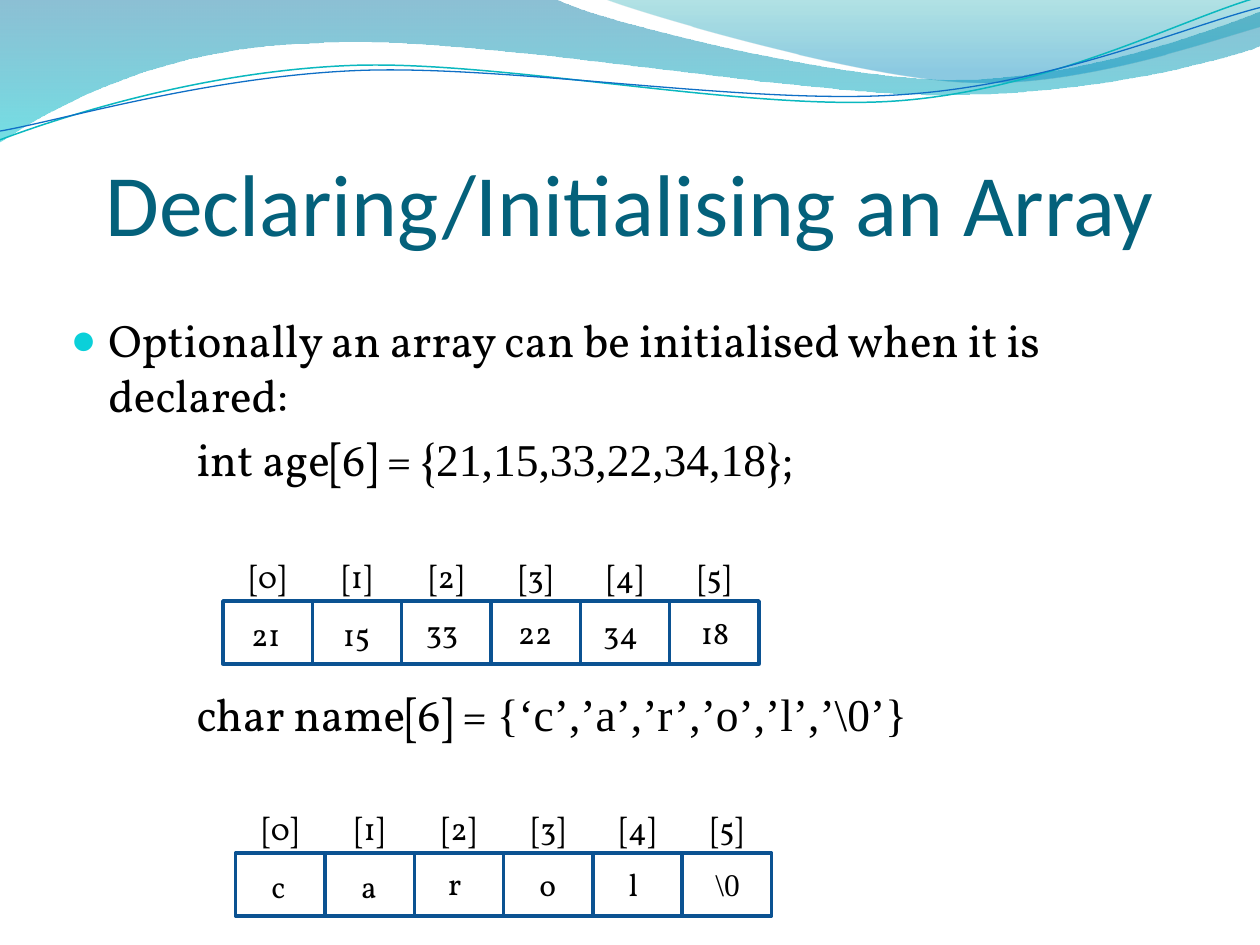
from math import cos, radians, sin
from lxml.etree import SubElement
from pptx import Presentation
from pptx.dml.color import RGBColor
from pptx.enum.shapes import MSO_SHAPE
from pptx.enum.text import MSO_ANCHOR, MSO_AUTO_SIZE, PP_ALIGN
from pptx.oxml.ns import qn
from pptx.util import Inches, Pt

WIDTH, HEIGHT = Inches(10), Inches(7.5)
COLS, ROWS = 100, 75
CELL, DEEP = 7.09, 5
TILT = 357.3
SHIFTS = [(0.5, 0.6), (0.6, 0.6), (0.3, 0.4), (0.6, 0.5), (0.3, 0.5), (0.7, 0.5)]

BLACK = RGBColor(0, 0, 0)
TITLE = RGBColor(0x04, 0x61, 0x7B)
DOT = RGBColor(0x0B, 0xD0, 0xD9)
EDGE = RGBColor(0x0B, 0x52, 0x92)
NAVY = RGBColor(0x00, 0x74, 0xA1)
AQUA = RGBColor(0x00, 0xC6, 0xCF)
TEAL = RGBColor(0x00, 0xA1, 0xA9)
BLUE = RGBColor(0x00, 0x8B, 0xBF)
CYAN = RGBColor(0x0A, 0xB8, 0xBF)
ROYAL = RGBColor(0x0F, 0x6F, 0xC6)

SERIF, ROMAN, SANS = "Vollkorn", "Times New Roman", "Calibri"

BAND = [
    (0, 0), (44, -0.1), (47.6, 1.7, 66.4, 6.3, 75.8, 6.3),
    (85.3, 6.3, 95.8, 2.6, 100, 0.9), (100.1, 3.6),
    (98.3, 4.4, 87, 7.6, 74.6, 7.5), (62.2, 7.5, 38.2, 2.8, 25.7, 3.4),
    (12.9, 3.6, 4.6, 8.3, -0.1, 11.3), (0, 0),
]
CREST = [
    (47.9, -0.1), (50.9, 1.1, 68.2, 6.2, 76.9, 6.5),
    (85.6, 6.9, 96.1, 3.2, 100, 2.1), (100, 0), (47.9, -0.1),
]
UPPER = [
    (0, 11.1), (4.8, 9.3, 15.8, 5.7, 27.7, 5.2),
    (39.5, 4.7, 59.3, 8.9, 71.3, 8), (83.3, 7.1, 93.8, 1.5, 99.8, -0.2),
]
LOWER = [
    (0, 10.4), (4.7, 9.6, 16.4, 6.1, 28.3, 5.6),
    (40.3, 5.1, 59.7, 8.4, 71.7, 7.5), (83.6, 6.7, 94.1, 2.1, 100, 0.6),
]


def wide(cols):
    return round(WIDTH * cols / COLS)


def tall(rows):
    return round(HEIGHT * rows / ROWS)


def place(left, top, width, height):
    return wide(left), tall(top), wide(width), tall(height)


def move(shape, *area):
    shape.left, shape.top, shape.width, shape.height = place(*area)


def turn(part, hub, angle):
    c, s = cos(radians(angle)), sin(radians(angle))
    spots = []
    for x, y in zip(part[::2], part[1::2]):
        dx, dy = x - hub[0], y - hub[1]
        spots += [hub[0] + dx * c - dy * s, hub[1] + dx * s + dy * c]
    return spots


def trace(slide, route, close):
    spots = [(wide(x), tall(y)) for part in route for x, y in zip(part[::2], part[1::2])]
    pen = slide.shapes.build_freeform(*spots[0])
    pen.add_line_segments(spots[1:], close=close)
    shape = pen.convert_to_shape()
    shape.shadow.inherit = False
    lines = iter(list(shape._element.spPr.iter(qn("a:lnTo"))))
    for part in route[1:]:
        first = next(lines)
        if len(part) == 6:
            first.tag = qn("a:cubicBezTo")
            for line in (next(lines), next(lines)):
                first.append(line[0])
                line.getparent().remove(line)
    return shape


def add_wave(slide, route, stops):
    shape = trace(slide, route, True)
    shape.line.fill.background()
    shape.fill.gradient()
    shape.fill.gradient_angle = 270
    for stop, (share, color, _) in zip(shape.fill.gradient_stops, stops):
        stop.position = share
        stop.color.rgb = color
    tints = shape._element.spPr.iter(qn("a:srgbClr"))
    for tint, (_, _, alpha) in zip(tints, stops):
        SubElement(tint, qn("a:alpha")).set("val", str(alpha * 1000))


def add_curve(slide, route, hub, color, weight):
    level = [turn(part, hub, -TILT) for part in route]
    shape = trace(slide, level, False)
    shape.rotation = TILT
    shape.fill.background()
    shape.line.color.rgb = color
    shape.line.width = Pt(weight)


def add_run(para, text, face, size, color=BLACK):
    run = para.add_run()
    run.text = text
    run.font.name = face
    run.font.size = Pt(size)
    run.font.color.rgb = color


def set_mark(para, left, hang=0, mark=None):
    props = para._p.get_or_add_pPr()
    props.set("marL", str(wide(left)))
    props.set("indent", str(-wide(hang)))
    if mark is None:
        SubElement(props, qn("a:buNone"))
        return
    tone = SubElement(props, qn("a:buClr"))
    SubElement(tone, qn("a:srgbClr")).set("val", str(DOT))
    SubElement(props, qn("a:buSzPct")).set("val", "95000")
    SubElement(props, qn("a:buFont")).set("typeface", "Arial")
    SubElement(props, qn("a:buChar")).set("char", mark)


def fill_title(shape, text):
    move(shape, 5, 7.7, 90, 12.5)
    frame = shape.text_frame
    frame.auto_size = MSO_AUTO_SIZE.NONE
    frame.vertical_anchor = MSO_ANCHOR.BOTTOM
    frame.margin_left = frame.margin_right = frame.margin_bottom = 0
    frame.margin_top = tall(0.5)
    para = frame.paragraphs[0]
    para.alignment = PP_ALIGN.CENTER
    add_run(para, text, SANS, 50, TITLE)


def fill_body(shape):
    move(shape, 4.6, 24.3, 90, 48)
    frame = shape.text_frame
    frame.auto_size = MSO_AUTO_SIZE.NONE
    first = frame.paragraphs[0]
    first.space_before = Pt(0)
    set_mark(first, 3, 3, "●")
    add_run(first, "Optionally an array can be initialised when it is declared:", SERIF, 26)
    lines = [
        (5.2, [("int age[6] = {", SERIF), ("21,15,33,22,34,18", ROMAN), ("};", SERIF)]),
        (114.5, [("char name[6] = ", SERIF), ("{‘c’,’a’,’r’,’o’,’l’,’\\0’}", ROMAN)]),
    ]
    for gap, runs in lines:
        para = frame.add_paragraph()
        para.space_before = Pt(gap)
        set_mark(para, 10)
        for text, face in runs:
            add_run(para, text, face, 26)


def add_cell(slide, left, top):
    box = slide.shapes.add_shape(MSO_SHAPE.RECTANGLE, *place(left, top, CELL, DEEP))
    box.shadow.inherit = False
    box.fill.background()
    box.line.color.rgb = EDGE
    box.line.width = Pt(2)


def add_label(slide, text, left, top, width, face=SERIF):
    frame = slide.shapes.add_textbox(*place(left, top, width, 4)).text_frame
    frame.word_wrap = True
    frame.auto_size = MSO_AUTO_SIZE.SHAPE_TO_FIT_TEXT
    para = frame.paragraphs[0]
    para.alignment = PP_ALIGN.CENTER
    add_run(para, text, face, 18)


def add_row(slide, left, top, items):
    for index, (item, (right, down)) in enumerate(zip(items, SHIFTS)):
        edge = left + index * CELL
        add_cell(slide, edge, top)
        add_label(slide, f"[{index}]", edge, top - 4, CELL)
        face = ROMAN if item.startswith("\\") else SERIF
        add_label(slide, item, edge + right, top + down, 5.8, face)


def main():
    deck = Presentation()
    deck.slide_width, deck.slide_height = WIDTH, HEIGHT
    slide = deck.slides.add_slide(deck.slide_layouts[1])
    add_wave(slide, BAND, [(0, NAVY, 45), (1, AQUA, 55)])
    add_wave(slide, CREST, [(0, TEAL, 30), (0.8, BLUE, 45)])
    add_curve(slide, UPPER, (49.9, 5.75), CYAN, 0.85)
    add_curve(slide, LOWER, (49.95, 5.9), ROYAL, 0.75)
    fill_title(slide.shapes.title, "Declaring/Initialising an Array")
    fill_body(slide.placeholders[1])
    add_row(slide, 17.7, 47.7, ["21", "15", "33", "22", "34", "18"])
    add_row(slide, 18.7, 67.7, ["c", "a", "r", "o", "l", "\\0"])
    deck.save("out.pptx")


if __name__ == "__main__":
    main()
